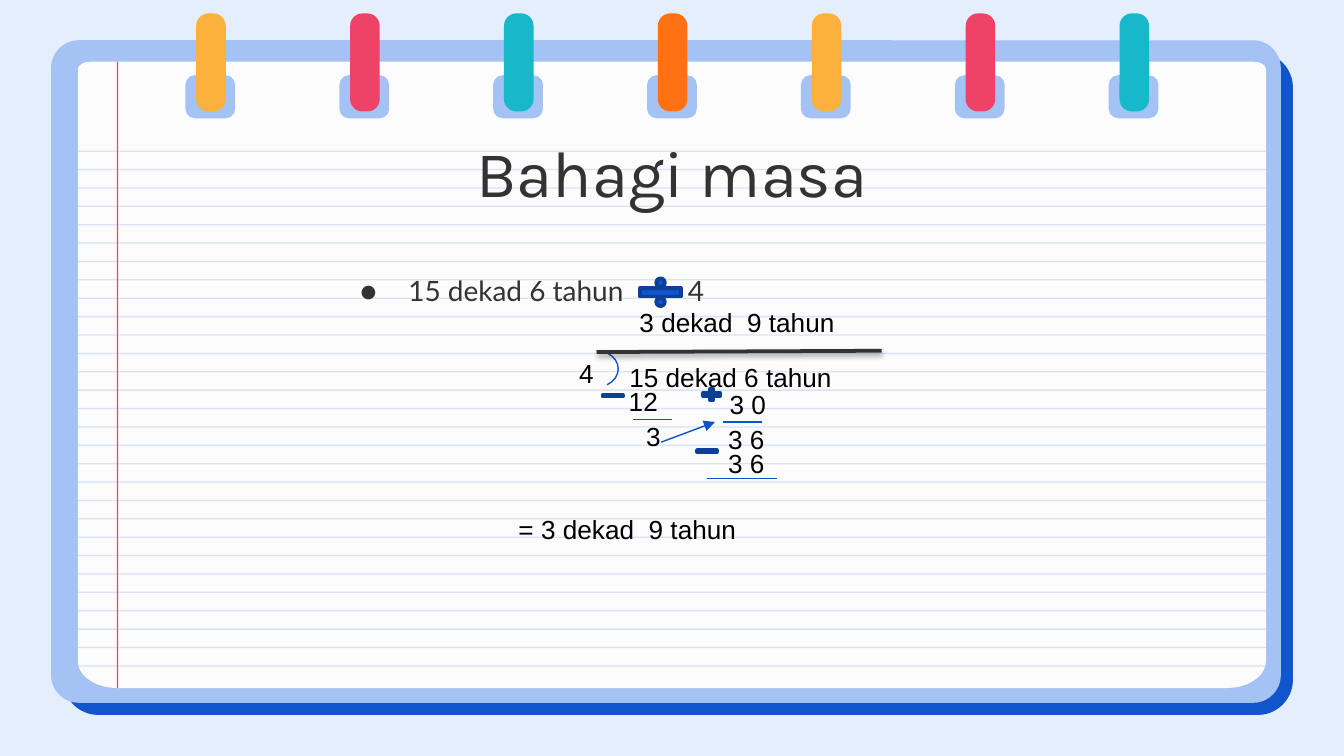
"""Build a notebook-style slide showing a long division of time units."""
from math import cos, pi, sin

from lxml import etree
from pptx import Presentation
from pptx.dml.color import RGBColor
from pptx.enum.shapes import MSO_CONNECTOR, MSO_SHAPE
from pptx.enum.text import PP_ALIGN
from pptx.oxml.ns import qn
from pptx.util import Inches, Pt

SKY = RGBColor(0xE5, 0xEE, 0xFC)
BLUE = RGBColor(0x11, 0x55, 0xCC)
LINE_BLUE = RGBColor(0x0C, 0x52, 0xCC)
DARK_BLUE = RGBColor(0x0D, 0x3F, 0x97)
PALE_BLUE = RGBColor(0xA4, 0xC2, 0xF4)
PAPER = RGBColor(0xFC, 0xFC, 0xFC)
YELLOW = RGBColor(0xFB, 0xB1, 0x3C)
PINK = RGBColor(0xEE, 0x42, 0x66)
TEAL = RGBColor(0x16, 0xB8, 0xC9)
ORANGE = RGBColor(0xFF, 0x71, 0x13)
INK = RGBColor(0x33, 0x33, 0x33)
BLACK = RGBColor(0, 0, 0)

RECTANGLE = MSO_SHAPE.RECTANGLE
ROUNDED = MSO_SHAPE.ROUNDED_RECTANGLE
STRAIGHT = MSO_CONNECTOR.STRAIGHT
CENTER = PP_ALIGN.CENTER
ARC = MSO_SHAPE.ARC
DIVIDE, PLUS, MINUS = MSO_SHAPE.MATH_DIVIDE, MSO_SHAPE.MATH_PLUS, MSO_SHAPE.MATH_MINUS

deck = Presentation()
deck.slide_width, deck.slide_height = Inches(10), Inches(10 * 9 / 16)
slide = deck.slides.add_slide(deck.slide_layouts[6])
slide.background.fill.solid()
slide.background.fill.fore_color.rgb = SKY


def add_filled(kind, left, top, width, height, color, corner=None):
    shape = slide.shapes.add_shape(
        kind, Inches(left), Inches(top), Inches(width), Inches(height))
    shape.shadow.inherit = False
    shape.fill.solid()
    shape.fill.fore_color.rgb = color
    shape.line.fill.background()
    if corner is not None:
        shape.adjustments[0] = corner
    return shape


def add_text(text, left, top, width, height, font, size, color, inset=0.05):
    box = slide.shapes.add_textbox(
        Inches(left), Inches(top), Inches(width), Inches(height))
    frame = box.text_frame
    frame.word_wrap = True
    frame.margin_top = frame.margin_bottom = Inches(inset)
    para = frame.paragraphs[0]
    para.text = text
    para.font.name, para.font.size = font, Pt(size)
    para.font.color.rgb = color
    return para


add_filled(ROUNDED, 0.47, 0.39, 9.15, 4.93, BLUE, 0.053)
add_filled(ROUNDED, 0.38, 0.3, 9.15, 4.93, PALE_BLUE, 0.042)

page_corners = [
    (9.13, 4.92, 0.29, 0.2, 0), (0.87, 4.92, 0.29, 0.2, 90),
    (0.67, 0.52, 0.09, 0.06, 180), (9.33, 0.52, 0.09, 0.06, 270)]
page_outline = [
    (Inches(x + rx * cos(angle * pi / 180)), Inches(y + ry * sin(angle * pi / 180)))
    for x, y, rx, ry, start in page_corners
    for angle in range(start, start + 91, 10)]
builder = slide.shapes.build_freeform(*page_outline[0])
builder.add_line_segments(page_outline[1:])
page = builder.convert_to_shape()
page.shadow.inherit = False
page.fill.solid()
page.fill.fore_color.rgb = PAPER
page.line.fill.background()

clip_colors = [YELLOW, PINK, TEAL, ORANGE, YELLOW, PINK, TEAL]
for index, color in enumerate(clip_colors):
    center = 1.57 + 1.145 * index
    add_filled(ROUNDED, center - 0.19, 0.56, 0.37, 0.32, PALE_BLUE, 0.22)
    add_filled(ROUNDED, center - 0.11, 0.1, 0.22, 0.73, color, 0.42)

for row in range(29):
    rule = add_filled(RECTANGLE, 0.58, 1.12 + 3.83 / 28 * row, 8.84, 0.01, PALE_BLUE)
    rule_color = rule.fill._xPr.find(qn("a:solidFill"))[0]
    etree.SubElement(rule_color, qn("a:alpha"), val="41000")
add_filled(RECTANGLE, 0.87, 0.46, 0.01, 4.66, PINK)

title = add_text("Bahagi masa", 0.78, 0.88, 8.44, 0.65, "Karla", 35, INK, 0.1)
title.alignment = CENTER

problem = add_text("15 dekad 6 tahun\t4", 2.44, 1.9, 5.12, 2.49, "Lato", 15, INK, 0.1)
problem.line_spacing = 1.15
bullet = problem._p.get_or_add_pPr()
bullet.set("marL", str(Inches(0.5)))
bullet.set("indent", str(Inches(-0.36)))
bullet_color = etree.SubElement(bullet, qn("a:buClr"))
etree.SubElement(bullet_color, qn("a:srgbClr"), val=str(INK))
etree.SubElement(bullet, qn("a:buSzPts"), val="1500")
etree.SubElement(bullet, qn("a:buFont"), typeface="Lato")
etree.SubElement(bullet, qn("a:buChar"), char="●")
tabs = etree.SubElement(bullet, qn("a:tabLst"))
etree.SubElement(tabs, qn("a:tab"), pos=str(Inches(2.58)), algn="l")
bullet.append(bullet.find(qn("a:defRPr")))

operators = [
    (DIVIDE, 4.71, 2.04, 0.41, 0.27), (PLUS, 5.21, 2.88, 0.17, 0.11),
    (MINUS, 4.46, 2.92, 0.2, 0.05), (MINUS, 5.16, 3.33, 0.2, 0.05)]
for kind, left, top, width, height in operators:
    operator = add_filled(kind, left, top, width, height, BLUE)
    operator.line.color.rgb = DARK_BLUE
    operator.line.width = Pt(2)

bracket = add_filled(ARC, 4.28, 2.61, 0.32, 0.27, BLUE, 162)
bracket.adjustments[1] = 34.19
bracket.fill.background()
bracket.line.color.rgb = LINE_BLUE
bracket.line.width = Pt(0.75)

strokes = [
    ("bar", 4.44, 2.62, 6.56, 2.61, INK, 2),
    ("rule", 4.71, 3.12, 5, 3.12, LINE_BLUE, 0.75),
    ("rule", 5.38, 3.14, 5.67, 3.14, LINE_BLUE, 0.75),
    ("arrow", 4.92, 3.29, 5.32, 3.14, LINE_BLUE, 0.75),
    ("rule", 5.26, 3.56, 5.78, 3.56, LINE_BLUE, 0.75)]
for role, start_x, start_y, end_x, end_y, color, weight in strokes:
    stroke = slide.shapes.add_connector(
        STRAIGHT, Inches(start_x), Inches(start_y), Inches(end_x), Inches(end_y))
    stroke.line.color.rgb = color
    stroke.line.width = Pt(weight)
    if role == "arrow":
        etree.SubElement(stroke.line._get_or_add_ln(), qn("a:tailEnd"), type="triangle")
    effects = etree.SubElement(stroke._element.spPr, qn("a:effectLst"))
    if role == "bar":
        shadow = etree.SubElement(
            effects, qn("a:outerShdw"), blurRad=str(Pt(3.1)), dist=str(Pt(1.6)),
            dir="5400000", rotWithShape="0")
        shadow_color = etree.SubElement(shadow, qn("a:srgbClr"), val=str(BLACK))
        etree.SubElement(shadow_color, qn("a:alpha"), val="38000")

working = [
    ("4", 4.21, 2.61, 0.32), (" 15 dekad 6 tahun", 4.53, 2.64, 2.09),
    ("3 dekad  9 tahun", 4.66, 2.23, 2.77), ("12", 4.58, 2.82, 0.67),
    ("3", 4.71, 3.08, 0.4), ("3 0", 5.33, 2.84, 0.62),
    ("3 6", 5.32, 3.1, 0.53), ("3 6", 5.32, 3.28, 0.53),
    ("= 3 dekad  9 tahun", 3.76, 3.77, 1.83)]
for text, left, top, width in working:
    add_text(text, left, top, width, 0.34, "Arial", 14, BLACK)

deck.save("out.pptx")
